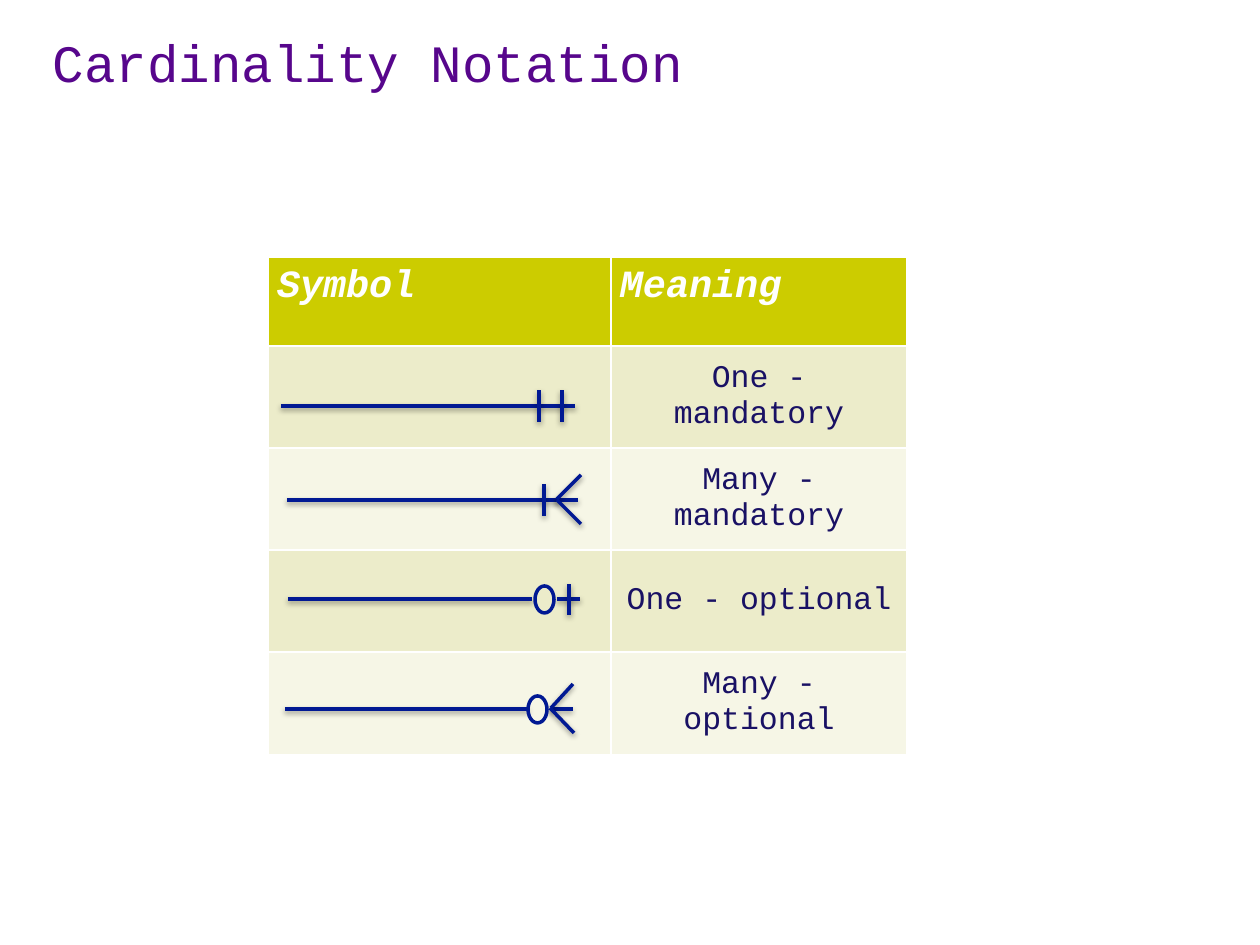
from lxml import etree
from pptx import Presentation
from pptx.dml.color import RGBColor
from pptx.enum.shapes import MSO_CONNECTOR, MSO_SHAPE
from pptx.enum.text import MSO_ANCHOR, PP_ALIGN
from pptx.oxml import parse_xml
from pptx.oxml.ns import nsdecls, qn
from pptx.util import Pt

STRAIGHT = MSO_CONNECTOR.STRAIGHT
OVAL = MSO_SHAPE.OVAL
TOP, MIDDLE = MSO_ANCHOR.TOP, MSO_ANCHOR.MIDDLE
LEFT, CENTER = PP_ALIGN.LEFT, PP_ALIGN.CENTER

PURPLE = RGBColor(0x57, 0x06, 0x8C)
NAVY = RGBColor(0x19, 0x11, 0x64)
BLUE = RGBColor(0x01, 0x19, 0x93)
WHITE = RGBColor(0xFF, 0xFF, 0xFF)
OLIVE = RGBColor(0xCC, 0xCC, 0x00)
BANDS = (RGBColor(0xEC, 0xEC, 0xCA), RGBColor(0xF6, 0xF6, 0xE6))

FONT = "Courier New"
EMU_PER_PX = 914400 / 126
HEADERS = ("Symbol", "Meaning")
MEANINGS = ("One - mandatory", "Many - mandatory", "One - optional", "Many - optional")
COLUMN_WIDTHS = (343, 296)
ROW_HEIGHTS = (89, 102, 102, 102, 103)

SYMBOL_LINES = (
    (285, 709, 528, 709), (551, 709, 573, 709),
    (551, 708, 573, 684), (574, 733, 550, 708),
    (288, 599, 532, 599), (557, 599, 580, 599), (569, 615, 569, 584),
    (287, 500, 558, 500), (556, 500, 578, 500), (544, 516, 544, 484),
    (281, 406, 575, 406), (562, 422, 562, 390), (539, 422, 539, 390),
    (557, 499, 581, 475), (581, 524, 557, 500),
)
SYMBOL_RINGS = ((528, 696), (535, 586))

SHADOW = (
    f'<a:effectLst {nsdecls("a")}>'
    '<a:outerShdw blurRad="38100" dist="20000" dir="5400000" rotWithShape="0">'
    '<a:srgbClr val="000000"><a:alpha val="38000"/></a:srgbClr>'
    '</a:outerShdw></a:effectLst>'
)


def px(length):
    """Turn pixels into EMU."""
    return round(length * EMU_PER_PX)


class SlideBuilder:
    """Hold the style and the current slide."""

    def __init__(self, slide):
        """Keep the slide to draw on."""
        self.slide = slide

    def add_run(self, paragraph, text, size, color, emphasis=False):
        """Add one styled run to a paragraph."""
        run = paragraph.add_run()
        run.text = text
        font = run.font
        font.name = FONT
        font.size = Pt(size)
        font.color.rgb = color
        font.bold = font.italic = emphasis

    def add_title(self, text, left, top, width, height):
        """Add the slide title."""
        box = self.slide.shapes.add_textbox(px(left), px(top), px(width), px(height))
        frame = box.text_frame
        frame.word_wrap = True
        frame.margin_left = frame.margin_right = frame.margin_bottom = 0
        frame.margin_top = px(10)
        self.add_run(frame.paragraphs[0], text, 30, PURPLE)

    def style_cell(self, cell, fill, anchor):
        """Give a cell its margins, white borders and fill."""
        cell.margin_left = cell.margin_right = px(9)
        cell.margin_top = cell.margin_bottom = px(9)
        cell.vertical_anchor = anchor
        properties = cell.fill and cell._tc.get_or_add_tcPr()
        for side in ("lnL", "lnR", "lnT", "lnB"):
            border = etree.SubElement(properties, qn(f"a:{side}"), w=str(Pt(1)))
            solid = etree.SubElement(border, qn("a:solidFill"))
            etree.SubElement(solid, qn("a:srgbClr"), val=str(WHITE))
        cell.fill.solid()
        cell.fill.fore_color.rgb = fill

    def add_notation_table(self, left, top):
        """Add the table of symbols and meanings."""
        frame = self.slide.shapes.add_table(
            len(ROW_HEIGHTS), len(COLUMN_WIDTHS), px(left), px(top),
            px(sum(COLUMN_WIDTHS)), px(sum(ROW_HEIGHTS)))
        table = frame.table
        for column, width in zip(table.columns, COLUMN_WIDTHS):
            column.width = px(width)
        for row, height in zip(table.rows, ROW_HEIGHTS):
            row.height = px(height)
        for index, header in enumerate(HEADERS):
            cell = table.cell(0, index)
            self.style_cell(cell, OLIVE, TOP)
            paragraph = cell.text_frame.paragraphs[0]
            paragraph.alignment = LEFT
            paragraph.space_before = Pt(5)
            self.add_run(paragraph, header, 22, WHITE, emphasis=True)
        for index, meaning in enumerate(MEANINGS):
            symbol_cell, meaning_cell = table.rows[index + 1].cells
            for cell in (symbol_cell, meaning_cell):
                self.style_cell(cell, BANDS[index % 2], MIDDLE)
            paragraph = meaning_cell.text_frame.paragraphs[0]
            paragraph.alignment = CENTER
            self.add_run(paragraph, meaning, 18, NAVY)

    def add_line(self, *ends):
        """Add a blue line with a soft shadow."""
        connector = self.slide.shapes.add_connector(STRAIGHT, *map(px, ends))
        connector.line.color.rgb = BLUE
        connector.line.width = Pt(2)
        connector.element.spPr.append(parse_xml(SHADOW))

    def add_ring(self, left, top):
        """Add the open ring that marks an optional end."""
        shape = self.slide.shapes.add_shape(OVAL, px(left), px(top), px(19), px(27))
        shape.shadow.inherit = False
        shape.fill.background()
        shape.line.color.rgb = BLUE
        shape.line.width = Pt(2)


def main():
    """Build and save the slide."""
    presentation = Presentation()
    presentation.slide_width = px(1260)
    presentation.slide_height = px(945)
    slide = presentation.slides.add_slide(presentation.slide_layouts[6])
    builder = SlideBuilder(slide)
    builder.add_title("Cardinality Notation", 53, 20, 1068, 63)
    builder.add_notation_table(268, 257)
    for ends in SYMBOL_LINES:
        builder.add_line(*ends)
    for corner in SYMBOL_RINGS:
        builder.add_ring(*corner)
    presentation.save("out.pptx")


if __name__ == "__main__":
    main()
